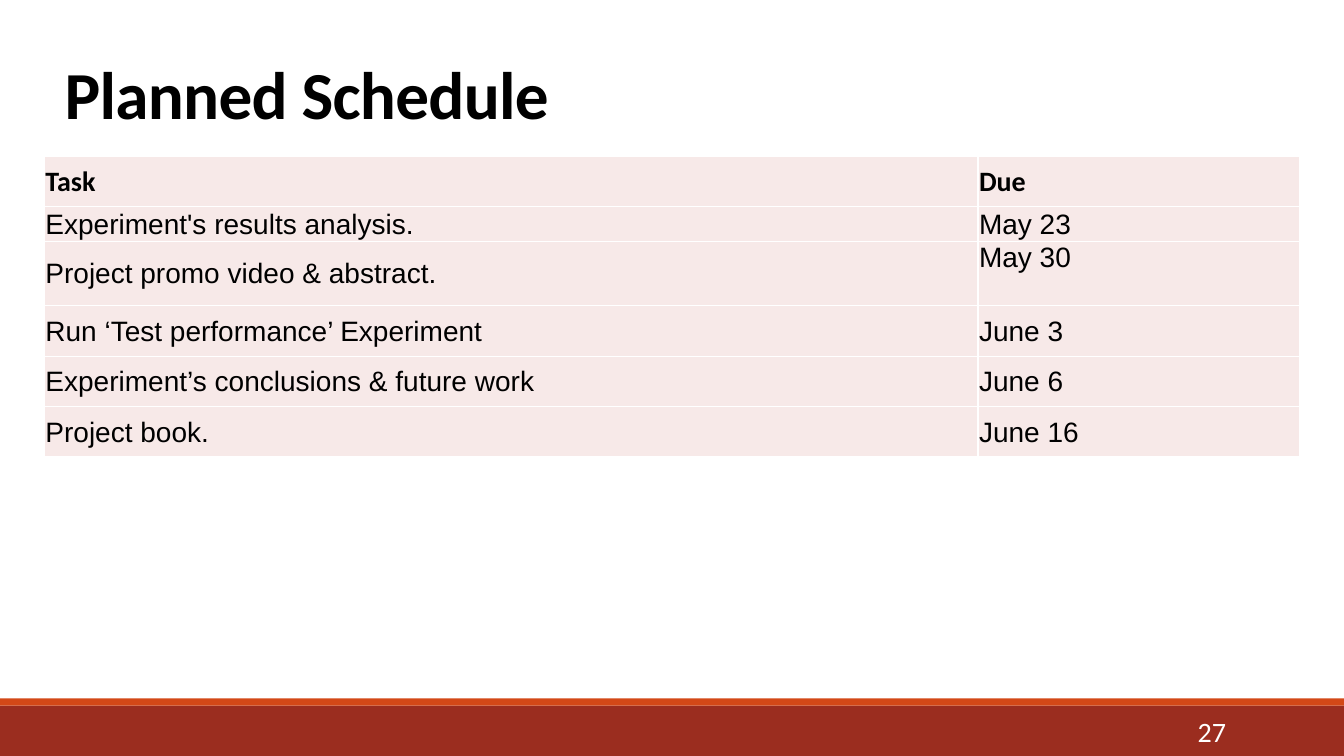
from dataclasses import dataclass

from lxml import etree
from pptx import Presentation
from pptx.dml.color import RGBColor
from pptx.enum.shapes import MSO_SHAPE
from pptx.enum.text import MSO_ANCHOR, PP_ALIGN
from pptx.oxml.ns import qn
from pptx.util import Inches, Pt

RECTANGLE = MSO_SHAPE.RECTANGLE
TOP, MIDDLE, BOTTOM = MSO_ANCHOR.TOP, MSO_ANCHOR.MIDDLE, MSO_ANCHOR.BOTTOM
LEFT, RIGHT = PP_ALIGN.LEFT, PP_ALIGN.RIGHT
TITLE_ONLY = 5

# Content
TITLE = "Planned Schedule"
PAGE_NUMBER = "27"
SCHEDULE = [
    ("Task", "Due"),
    ("Experiment's results analysis.", "May 23"),
    ("Project promo video & abstract.", "May 30"),
    ("Run ‘Test performance’ Experiment", "June 3"),
    ("Experiment’s conclusions & future work", "June 6"),
    ("Project book.", "June 16"),
]
TOP_ALIGNED_CELL = (2, 1)

# Layout, in inches
SLIDE_WIDTH, SLIDE_HEIGHT = 13.33, 7.5
FOOTER_HEIGHT, STRIPE_HEIGHT = 0.5, 0.07
FOOTER_TOP = SLIDE_HEIGHT - FOOTER_HEIGHT
TITLE_BOX = (0.54, -0.22, 11, 1.59)
NUMBER_BOX = (10.83, 7.06, 1.43, 0.4)
TABLE_LEFT, TABLE_TOP = 0.44, 1.55
COLUMN_WIDTHS = (9.26, 3.19)
ROW_HEIGHT = 0.5
SPECIAL_ROW_HEIGHTS = {1: 0.31, 2: 0.64}
CELL_INSET = 0.01


@dataclass(frozen=True)
class Theme:
    """Colours, fonts and type sizes of the slide."""
    footer: str = "9B2D1F"
    stripe: str = "D34817"
    cell: str = "F7E9E8"
    ink: str = "000000"
    white: str = "FFFFFF"
    heading_font: str = "Calibri"
    body_font: str = "Arial"
    title_size: int = 48
    text_size: int = 20
    border_width: int = 1


THEME = Theme()


def write(frame, text, font, size, color, bold=False, align=LEFT):
    """Put one formatted run in a text frame and return its paragraph and run."""
    paragraph = frame.paragraphs[0]
    paragraph.alignment = align
    run = paragraph.add_run()
    run.text = text
    run.font.name = font
    run.font.size = Pt(size)
    run.font.bold = bold
    run.font.color.rgb = RGBColor.from_string(color)
    return paragraph, run


def add_title(slide):
    """Place and format the title placeholder."""
    title = slide.shapes.title
    title.left, title.top, title.width, title.height = map(Inches, TITLE_BOX)
    title.text_frame.vertical_anchor = BOTTOM
    paragraph, run = write(title.text_frame, TITLE, THEME.heading_font,
                           THEME.title_size, THEME.ink, bold=True)
    paragraph.line_spacing = 0.85
    run.font._element.set("spc", "-50")


def add_band(slide, top, height, color):
    """Draw a full-width band."""
    band = slide.shapes.add_shape(RECTANGLE, 0, Inches(top),
                                  Inches(SLIDE_WIDTH), Inches(height))
    band.shadow.inherit = False
    band.fill.solid()
    band.fill.fore_color.rgb = RGBColor.from_string(color)
    band.line.fill.background()


def add_page_number(slide):
    """Write the page number on the footer band."""
    frame = slide.shapes.add_textbox(*map(Inches, NUMBER_BOX)).text_frame
    frame.word_wrap = True
    frame.vertical_anchor = MIDDLE
    write(frame, PAGE_NUMBER, THEME.heading_font, THEME.text_size,
          THEME.white, align=RIGHT)


def add_borders(cell):
    """Give a cell a thin line on all four sides."""
    properties = cell._tc.get_or_add_tcPr()
    for side in ("a:lnL", "a:lnR", "a:lnT", "a:lnB"):
        line = etree.SubElement(properties, qn(side), w=str(Pt(THEME.border_width)))
        fill = etree.SubElement(line, qn("a:solidFill"))
        etree.SubElement(fill, qn("a:srgbClr"), val=THEME.white)


def format_cell(cell, text, is_header, anchor):
    """Fill, border and write one table cell."""
    add_borders(cell)
    cell.fill.solid()
    cell.fill.fore_color.rgb = RGBColor.from_string(THEME.cell)
    cell.margin_left = cell.margin_right = cell.margin_top = Inches(CELL_INSET)
    cell.margin_bottom = 0
    cell.vertical_anchor = anchor
    font = THEME.heading_font if is_header else THEME.body_font
    write(cell.text_frame, text, font, THEME.text_size, THEME.ink, bold=is_header)


def add_schedule(slide):
    """Build the table of tasks and due dates."""
    heights = [SPECIAL_ROW_HEIGHTS.get(row, ROW_HEIGHT) for row in range(len(SCHEDULE))]
    table = slide.shapes.add_table(
        len(SCHEDULE), len(COLUMN_WIDTHS), Inches(TABLE_LEFT), Inches(TABLE_TOP),
        Inches(sum(COLUMN_WIDTHS)), Inches(sum(heights))).table
    for column, width in zip(table.columns, COLUMN_WIDTHS):
        column.width = Inches(width)
    for row_index, texts in enumerate(SCHEDULE):
        table.rows[row_index].height = Inches(heights[row_index])
        for column_index, text in enumerate(texts):
            position = (row_index, column_index)
            anchor = TOP if position == TOP_ALIGNED_CELL else MIDDLE
            format_cell(table.cell(*position), text, row_index == 0, anchor)


def main():
    """Build and save the slide."""
    presentation = Presentation()
    presentation.slide_width = Inches(SLIDE_WIDTH)
    presentation.slide_height = Inches(SLIDE_HEIGHT)
    slide = presentation.slides.add_slide(presentation.slide_layouts[TITLE_ONLY])
    add_band(slide, FOOTER_TOP, FOOTER_HEIGHT, THEME.footer)
    add_band(slide, FOOTER_TOP - STRIPE_HEIGHT, STRIPE_HEIGHT, THEME.stripe)
    add_title(slide)
    add_page_number(slide)
    add_schedule(slide)
    presentation.save("out.pptx")


main()
